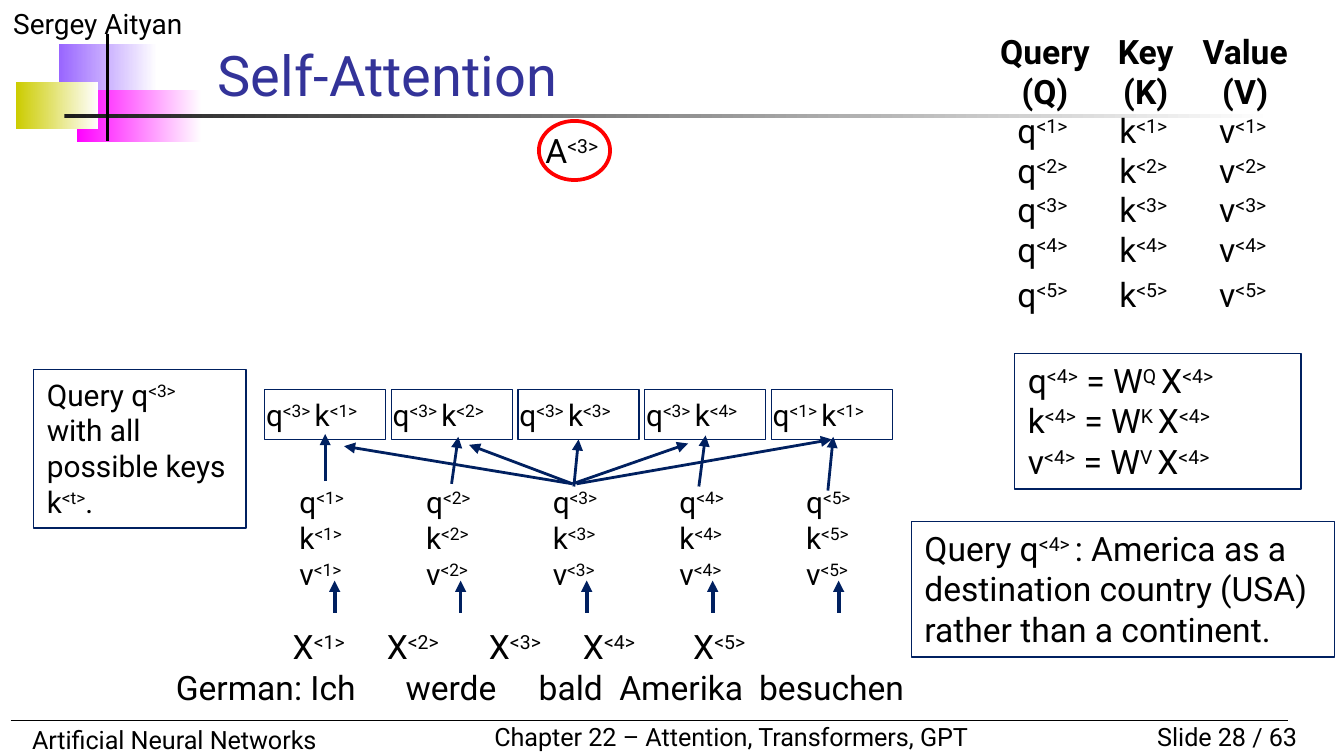
"""Build the self-attention slide showing queries, keys and values per word."""
from dataclasses import dataclass
from typing import Optional

from lxml.etree import SubElement
from pptx import Presentation
from pptx.dml.color import RGBColor
from pptx.enum.shapes import MSO_CONNECTOR, MSO_SHAPE
from pptx.enum.text import MSO_ANCHOR, MSO_AUTO_SIZE, PP_ALIGN
from pptx.oxml.ns import qn
from pptx.shapes.autoshape import Shape
from pptx.slide import Slide
from pptx.text.text import TextFrame
from pptx.util import Inches, Pt

BLACK = RGBColor(0x00, 0x00, 0x00)
WHITE = RGBColor(0xFF, 0xFF, 0xFF)
NAVY = RGBColor(0x00, 0x20, 0x60)
RED = RGBColor(0xFF, 0x00, 0x00)
TITLE_BLUE = RGBColor(0x33, 0x33, 0x99)
VIOLET = RGBColor(0x99, 0x66, 0xFF)
MAGENTA = RGBColor(0xFF, 0x00, 0xFF)
OLIVE = RGBColor(0xCC, 0xCC, 0x00)
CHARCOAL = RGBColor(0x1C, 0x1C, 0x1C)

FONT = "Roboto"
NO_GRID_STYLE = "{2D5ABB26-0587-4C30-8999-92F81FD0307C}"
WORD_COUNT = 5
WORD_SPAN = 3.77
INPUT_SPAN = 3.75


@dataclass
class Area:
    left: float
    top: float
    width: float
    height: float

    def lengths(self) -> tuple:
        return tuple(Inches(value) for value in (self.left, self.top, self.width, self.height))


@dataclass
class Label:
    area: Area
    lines: list[str]
    size: float = 18
    align: PP_ALIGN = PP_ALIGN.LEFT
    wrap: bool = True
    side_inset: float = 0.1


@dataclass
class Arrow:
    start: tuple[float, float]
    end: tuple[float, float]
    target: Optional[int] = None


BLOCKS = [
    (Area(0.44, 0.33, 0.73, 0.39), VIOLET),
    (Area(0.57, 0.67, 0.93, 0.39), MAGENTA),
    (Area(0.12, 0.61, 0.61, 0.35), OLIVE),
    (Area(0.48, 0.85, 9, 0.03), CHARCOAL),
]
LABELS = [
    Label(Area(0, 0, 2.5, 0.35), ["Sergey Aityan"], 15),
    Label(Area(8.25, 5.32, 1.5, 0.33), ["Slide 28 / 63"], 13.5, PP_ALIGN.RIGHT),
    Label(Area(0.14, 5.34, 3.7, 0.33), ["Artificial Neural Networks"], 13.5),
    Label(Area(3.58, 5.32, 3.77, 0.33), ["Chapter 22 – Attention, Transformers, GPT"], 13.5, wrap=False),
    Label(Area(3.96, 0.92, 0.75, 0.4), ["A^<3>^"]),
]
NOTES = [
    Label(Area(7.55, 2.63, 2.13, 1.01),
          [f"{name}^<4>^ = W^{name.upper()} ^X^<4>^" for name in "qkv"]),
    Label(Area(6.78, 3.88, 3.15, 1.01),
          ["Query q^<4> ^: America as a destination country (USA) rather than a continent."]),
    Label(Area(0.25, 2.75, 1.58, 1.18), ["Query q^<3>^ with all possible keys k^<t>^."], 16),
]
SCORES = ["q^<3> ^k^<1>^", "q^<3> ^k^<2>^", "q^<3> ^k^<3>^", "q^<3> ^k^<4>^", "q^<1> ^k^<1>^"]
SCORE_ARROWS = [
    Arrow((4.26, 3.6), (2.56, 3.32)),
    Arrow((2.42, 3.58), (2.42, 3.23)),
    Arrow((4.26, 3.6), (3.49, 3.31)),
    Arrow((3.36, 3.6), (3.41, 3.25)),
    Arrow((5.2, 3.62), (5.25, 3.24)),
    Arrow((4.27, 3.62), (4.3, 3.27), target=2),
    Arrow((4.29, 3.6), (6.19, 3.27), target=4),
    Arrow((4.26, 3.6), (5.12, 3.3)),
    Arrow((6.16, 3.65), (6.2, 3.25)),
]
SENTENCE = Label(
    Area(1.21, 4.61, 6.67, 0.71),
    ["".join(f"\tX^<{number}>^" for number in range(1, WORD_COUNT + 1)),
     "German: Ich\twerde\tbald\tAmerika\tbesuchen"])
SENTENCE_TABS = [(0.87, 1.57, 2.33, 3.03, 3.85), (1.71, 2.7, 3.3, 4.34)]
HEADERS = ["Query (Q)", "Key (K)", "Value (V)"]
COLUMN_WIDTHS = [0.83, 0.67, 0.81]
ROW_HEIGHTS = [0.41, 0.23, 0.18, 0.3, 0.33, 0]


def write_text(frame: TextFrame, lines: list[str], size: float, align: PP_ALIGN = PP_ALIGN.LEFT,
               color: RGBColor = BLACK, bold: bool = False, tabs: Optional[list] = None) -> None:
    """Write lines in which text between carets is superscript."""
    for index, line in enumerate(lines):
        paragraph = frame.paragraphs[0] if index == 0 else frame.add_paragraph()
        paragraph.alignment = align
        if tabs:
            tab_list = SubElement(paragraph._p.get_or_add_pPr(), qn("a:tabLst"))
            for position in tabs[index]:
                SubElement(tab_list, qn("a:tab"), pos=str(Inches(position)), algn="l")
        font = paragraph.font
        font.name, font.size, font.bold = FONT, Pt(size), bold
        font.color.rgb = color
        for part, text in enumerate(line.split("^")):
            if text:
                span = paragraph.add_run()
                span.text = text
                if part % 2:
                    span._r.get_or_add_rPr().set("baseline", "30000")


def fill_label(box: Shape, label: Label, tabs: Optional[list] = None) -> None:
    """Put the text of a label into its box."""
    frame = box.text_frame
    frame.word_wrap = label.wrap
    frame.vertical_anchor = MSO_ANCHOR.TOP
    frame.margin_left = frame.margin_right = Inches(label.side_inset)
    write_text(frame, label.lines, label.size, label.align, tabs=tabs)


def add_label(page: Slide, label: Label, tabs: Optional[list] = None) -> None:
    """Add a plain text box."""
    fill_label(page.shapes.add_textbox(*label.area.lengths()), label, tabs)


def add_outline(page: Slide, kind: MSO_SHAPE, area: Area, color: RGBColor, weight: float) -> Shape:
    """Add an unfilled shape with a coloured outline."""
    shape = page.shapes.add_shape(kind, *area.lengths())
    shape.shadow.inherit = False
    shape.fill.background()
    shape.line.color.rgb = color
    shape.line.width = Pt(weight)
    return shape


def add_note(page: Slide, label: Label) -> Shape:
    """Add a framed text box."""
    box = add_outline(page, MSO_SHAPE.RECTANGLE, label.area, NAVY, 0.75)
    fill_label(box, label)
    return box


def add_block(page: Slide, area: Area, color: RGBColor) -> None:
    """Add a rectangle that fades to white on the right."""
    block = page.shapes.add_shape(MSO_SHAPE.RECTANGLE, *area.lengths())
    block.shadow.inherit = False
    block.line.fill.background()
    block.fill.gradient()
    block.fill.gradient_angle = 0
    for stop, stop_color in zip(block.fill.gradient_stops, (color, WHITE)):
        stop.color.rgb = stop_color


def add_line(page: Slide, arrow: Arrow, color: RGBColor, weight: float,
             head: bool = True, target: Optional[Shape] = None) -> None:
    """Add a straight line, with an arrowhead and a joined end on request."""
    points = [Inches(value) for value in (*arrow.start, *arrow.end)]
    line = page.shapes.add_connector(MSO_CONNECTOR.STRAIGHT, *points)
    line.line.color.rgb = color
    line.line.width = Pt(weight)
    if head:
        SubElement(line.line._get_or_add_ln(), qn("a:tailEnd"), type="triangle")
    SubElement(line._element.spPr, qn("a:effectLst"))
    if target is not None:
        line.end_connect(target, 2)


def add_vector_table(page: Slide) -> None:
    """Add the table of query, key and value vectors."""
    area = Area(7.36, 0.25, sum(COLUMN_WIDTHS), sum(ROW_HEIGHTS))
    table = page.shapes.add_table(len(ROW_HEIGHTS), len(COLUMN_WIDTHS), *area.lengths()).table
    table.first_row = table.horz_banding = False
    table._tbl.tblPr.find(qn("a:tableStyleId")).text = NO_GRID_STYLE
    for column, width in zip(table.columns, COLUMN_WIDTHS):
        column.width = Inches(width)
    for number, (row, height) in enumerate(zip(table.rows, ROW_HEIGHTS)):
        row.height = Inches(height)
        for cell, header, name in zip(row.cells, HEADERS, "qkv"):
            cell.fill.background()
            cell.margin_top = cell.margin_bottom = 0
            cell.margin_left = cell.margin_right = Inches(0.1 if number else 0)
            text = f"{name}^<{number}> ^" if number else header
            write_text(cell.text_frame, [text], 18, PP_ALIGN.CENTER, bold=number == 0)


def add_title(page: Slide) -> None:
    """Place and format the slide title."""
    title = page.shapes.title
    title.left, title.top, title.width, title.height = Area(1.52, 0.31, 7.35, 0.54).lengths()
    title.text_frame.auto_size = MSO_AUTO_SIZE.NONE
    title.text_frame.vertical_anchor = MSO_ANCHOR.BOTTOM
    write_text(title.text_frame, ["Self-Attention"], 30, color=TITLE_BLUE)


def main() -> None:
    """Build and save the deck."""
    deck = Presentation()
    deck.slide_width = Inches(10)
    deck.slide_height = deck.slide_width * 9 // 16
    page = deck.slides.add_slide(deck.slide_layouts[5])
    for area, color in BLOCKS:
        add_block(page, area, color)
    add_line(page, Arrow((0.08, 5.36), (9.58, 5.36)), BLACK, 0.75, head=False)
    add_line(page, Arrow((0.8, 0.25), (0.8, 1.05)), BLACK, 2, head=False)
    add_title(page)
    add_vector_table(page)
    for label in LABELS:
        add_label(page, label)
    for note in NOTES:
        add_note(page, note)
    add_label(page, SENTENCE, SENTENCE_TABS)
    score_boxes = []
    for index, score in enumerate(SCORES):
        fraction = index / (WORD_COUNT - 1)
        shift = WORD_SPAN * fraction
        input_x = 2.49 + INPUT_SPAN * fraction
        add_line(page, Arrow((input_x, 4.56), (input_x, 4.32)), NAVY, 2)
        vectors = [f"{name}^<{index + 1}>^" for name in "qkv"]
        add_label(page, Label(Area(2.13 + shift, 3.55, 0.74, 0.87), vectors, 16))
        score_label = Label(Area(1.97 + shift, 2.9, 0.9, 0.37), [score], 16, side_inset=0.01)
        score_boxes.append(add_note(page, score_label))
    for arrow in SCORE_ARROWS:
        target = None if arrow.target is None else score_boxes[arrow.target]
        add_line(page, arrow, NAVY, 1.5, target=target)
    add_outline(page, MSO_SHAPE.OVAL, Area(4.01, 0.9, 0.53, 0.44), RED, 2)
    deck.save("out.pptx")


if __name__ == "__main__":
    main()
